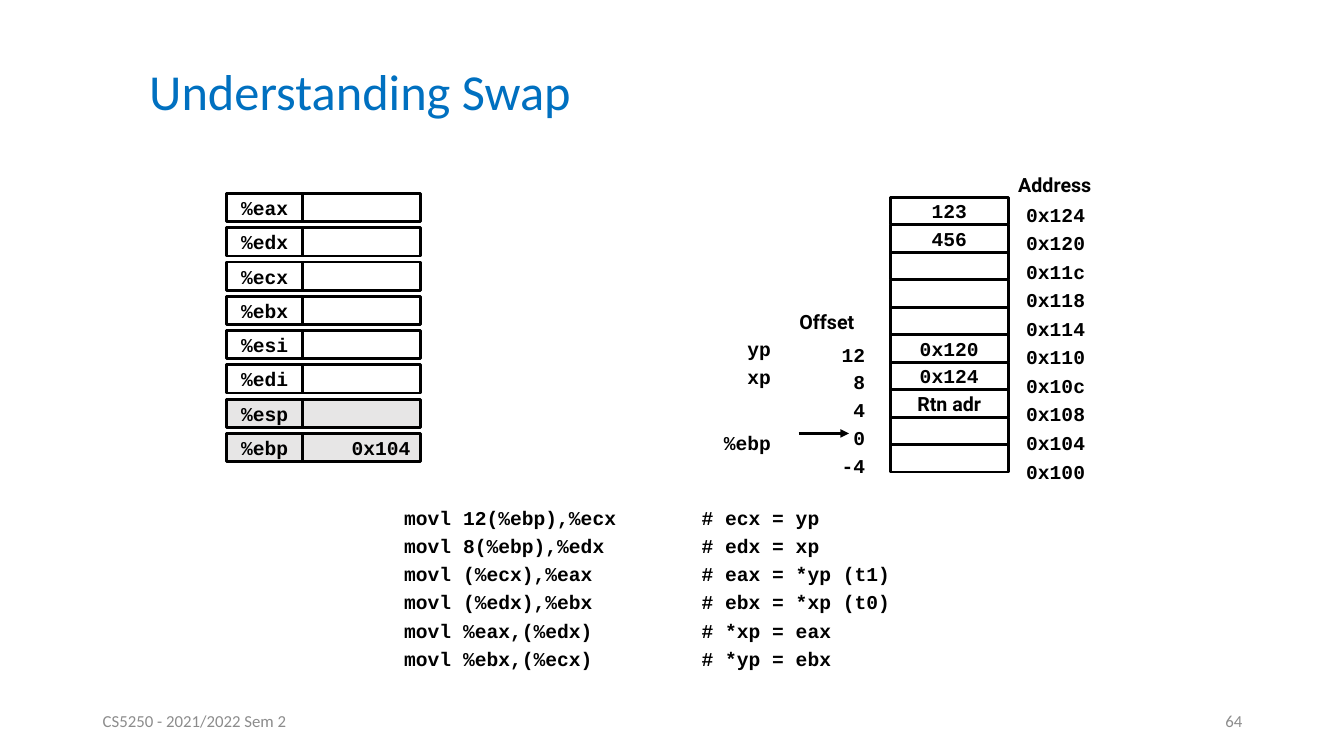
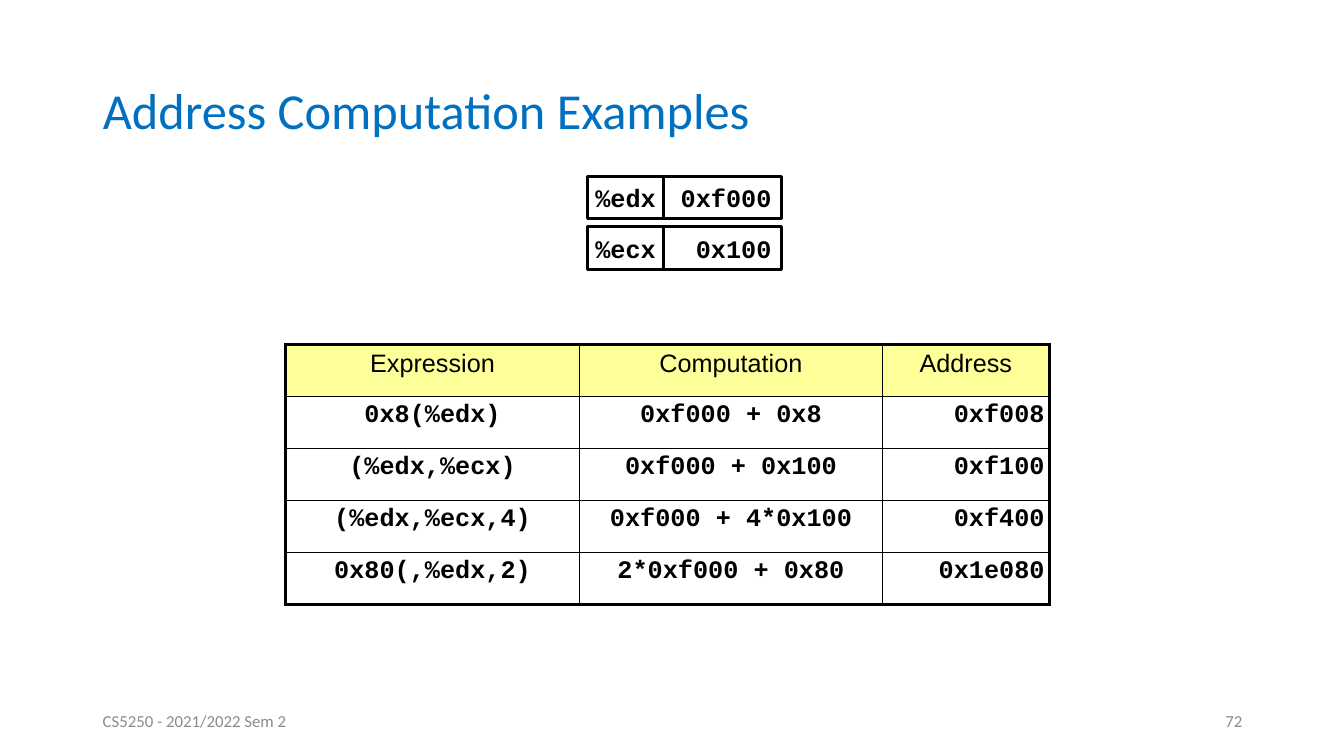
from lxml.etree import SubElement
from pptx import Presentation
from pptx.dml.color import RGBColor
from pptx.enum.shapes import MSO_CONNECTOR, MSO_SHAPE
from pptx.enum.text import MSO_ANCHOR as Anchor, MSO_AUTO_SIZE, PP_ALIGN as Align
from pptx.oxml.ns import qn
from pptx.util import Inches, Pt

hex_color = RGBColor.from_string
BLACK, WHITE, SHADED = "000000", "FFFFFF", "E7E6E6"
BLUE, GREY, YELLOW = "0070C0", "8C8C8C", "FFFF99"

# Text formats
CODE = {"name": "Courier New", "size": Pt(14), "bold": True}
CODE_LARGE = {**CODE, "size": Pt(18)}
LABEL = {**CODE, "name": "Roboto"}
HEADING = {"name": "Arial", "size": Pt(18), "bold": False}
TITLE = {"name": "Calibri", "size": Pt(36), "bold": False}
FOOTER = {**TITLE, "size": Pt(12)}


def write(frame, lines, style, color=BLACK, align=Align.LEFT, spacing=None):
    """Fill a text frame with one paragraph per line."""
    for index, line in enumerate(lines):
        paragraph = frame.add_paragraph() if index else frame.paragraphs[0]
        paragraph.alignment = align
        paragraph.line_spacing = spacing
        run = paragraph.add_run()
        run.text = line
        run.font.color.rgb = hex_color(color)
        for attribute, value in style.items():
            setattr(run.font, attribute, value)


def box(slide, area, text="", style=CODE, fill=None, anchor=Anchor.TOP, **options):
    """Add a text box, or a bordered rectangle when a fill is given."""
    place = [Inches(length) for length in area]
    if fill:
        item = slide.shapes.add_shape(MSO_SHAPE.RECTANGLE, *place)
        item.shadow.inherit = False
        item.fill.solid()
        item.fill.fore_color.rgb = hex_color(fill)
        item.line.color.rgb = hex_color(BLACK)
        item.line.width = Pt(2)
        anchor = Anchor.MIDDLE
    else:
        item = slide.shapes.add_textbox(*place)
    frame = item.text_frame
    frame.word_wrap = not fill
    frame.vertical_anchor = anchor
    if text:
        write(frame, text.split("\n"), style, **options)
    return frame


prs = Presentation()
prs.slide_width, prs.slide_height = Inches(13.33), Inches(7.5)

# Shared title and footer
slides = []
for heading, number, area in [
    ("Understanding Swap", "64", (1.38, 0.47, 8.7, 0.92)),
    ("Address Computation Examples", "72", (0.92, 0.4, 11.5, 1.45)),
]:
    slide = prs.slides.add_slide(prs.slide_layouts[5])
    slides.append(slide)
    title = slide.shapes.title
    title.left, title.top, title.width, title.height = map(Inches, area)
    title.text_frame.auto_size = MSO_AUTO_SIZE.NONE
    title.text_frame.vertical_anchor = Anchor.MIDDLE
    write(title.text_frame, [heading], TITLE, BLUE, spacing=0.9)
    for left, text, align in [
        (0.92, "CS5250 - 2021/2022 Sem 2", Align.LEFT),
        (9.42, number, Align.RIGHT),
    ]:
        box(slide, (left, 6.95, 3, 0.4), text, FOOTER, anchor=Anchor.MIDDLE,
            color=GREY, align=align)
swap, examples = slides

# Swap: code listing
code = box(swap, (3.42, 4.92, 6.5, 1.79), """\
	movl 12(%ebp),%ecx	# ecx = yp
	movl 8(%ebp),%edx	# edx = xp
	movl (%ecx),%eax	# eax = *yp (t1)
	movl (%edx),%ebx	# ebx = *xp (t0)
	movl %eax,(%edx)	# *xp = eax
	movl %ebx,(%ecx)	# *yp = ebx""", spacing=1.2)
for paragraph in code.paragraphs:
    tabs = SubElement(paragraph._p.get_or_add_pPr(), qn("a:tabLst"))
    for stop in (0.49, 3.44):
        SubElement(tabs, qn("a:tab"), pos=str(Inches(stop)), algn="l")

# Swap: stack memory with its addresses
memory = ["123", "456", "", "", "", "0x120", "0x124", "Rtn adr", "", ""]
addresses = ["0x124", "0x120", "0x11c", "0x118", "0x114",
             "0x110", "0x10c", "0x108", "0x104", "0x100"]
MEMORY_TOP, MEMORY_STEP = 1.96, 0.2725
for row, (value, address) in enumerate(zip(memory, addresses)):
    box(swap, (8.83, MEMORY_TOP + row * MEMORY_STEP, 1.17, 0.27), value,
        LABEL if value == "Rtn adr" else CODE, WHITE, align=Align.CENTER)
    box(swap, (10.08, MEMORY_TOP + row * 0.2833, 1.33, 0.34), address)
box(swap, (10, 1.67, 0.99, 0.34), "Address", LABEL)

# Swap: offsets, arguments and frame pointer
box(swap, (7.83, 3.03, 0.77, 0.34), "Offset", LABEL)
for row, offset in enumerate(["12", "8", "4", "0", "-4"]):
    box(swap, (8.23, 3.35 + row * 0.275, 0.45, 0.34), offset,
        align=Align.RIGHT).margin_left = 0
for row, argument in enumerate(["yp", "xp"]):
    box(swap, (7.17, 3.32 + row * MEMORY_STEP, 0.72, 0.31), argument,
        align=Align.CENTER, spacing=0.9)
box(swap, (7.08, 4.23, 0.75, 0.33), "%ebp")
arrow = swap.shapes.add_connector(
    MSO_CONNECTOR.STRAIGHT, Inches(7.92), Inches(4.3), Inches(8.42), Inches(4.3))
arrow.line.color.rgb = hex_color(BLACK)
arrow.line.width = Pt(2)
SubElement(arrow.line._get_or_add_ln(), qn("a:tailEnd"), type="triangle")
SubElement(arrow._element.spPr, qn("a:effectLst"))

# Registers on both slides
swap_registers = [(name, "") for name in
                  ("%eax", "%edx", "%ecx", "%ebx", "%esi", "%edi", "%esp")]
swap_registers.append(("%ebp", "0x104"))
example_registers = [("%edx", "0xf000"), ("%ecx", "0x100")]
for slide, registers, left, top, step, height, style in [
    (swap, swap_registers, 2.25, 1.92, 0.34, 0.28, CODE),
    (examples, example_registers, 5.83, 1.75, 0.5, 0.42, CODE_LARGE),
]:
    for row, (name, value) in enumerate(registers):
        fill = SHADED if name in ("%esp", "%ebp") else WHITE
        y = top + row * step
        box(slide, (left, y, 0.75, height), name, style, fill, align=Align.CENTER)
        box(slide, (left + 0.75, y, 1.17, height), value, style, fill,
            align=Align.RIGHT)

# Examples: address table
rows = [
    ("Expression", "Computation", "Address"),
    ("0x8(%edx)", "0xf000 + 0x8", "0xf008"),
    ("(%edx,%ecx)", "0xf000 + 0x100", "0xf100"),
    ("(%edx,%ecx,4)", "0xf000 + 4*0x100", "0xf400"),
    ("0x80(,%edx,2)", "2*0xf000 + 0x80", "0x1e080"),
]
widths = [2.92, 3, 1.66]
table = examples.shapes.add_table(
    len(rows), len(widths), Inches(2.83), Inches(3.42),
    Inches(sum(widths)), Inches(2.58)).table
table.first_row = table.horz_banding = False
for column, width in zip(table.columns, widths):
    column.width = Inches(width)
last_row, last_column = len(rows) - 1, len(widths) - 1
for r, row in enumerate(rows):
    for c, text in enumerate(row):
        cell = table.cell(r, c)
        for side in ("left", "right", "top", "bottom"):
            setattr(cell, f"margin_{side}", Inches(0.05))
        align = Align.RIGHT if r and c == last_column else Align.CENTER
        write(cell.text_frame, [text], CODE_LARGE if r else HEADING, align=align)

        # Thick outer border, thin inner lines
        properties = cell._tc.get_or_add_tcPr()
        for tag, outer in [("a:lnL", c == 0), ("a:lnR", c == last_column),
                           ("a:lnT", r == 0), ("a:lnB", r == last_row)]:
            border = SubElement(properties, qn(tag), w=str(Pt(2.25 if outer else 1)))
            solid = SubElement(border, qn("a:solidFill"))
            SubElement(solid, qn("a:srgbClr"), val=BLACK)
        if r:
            cell.fill.background()
        else:
            cell.fill.solid()
            cell.fill.fore_color.rgb = hex_color(YELLOW)

prs.save("out.pptx")
